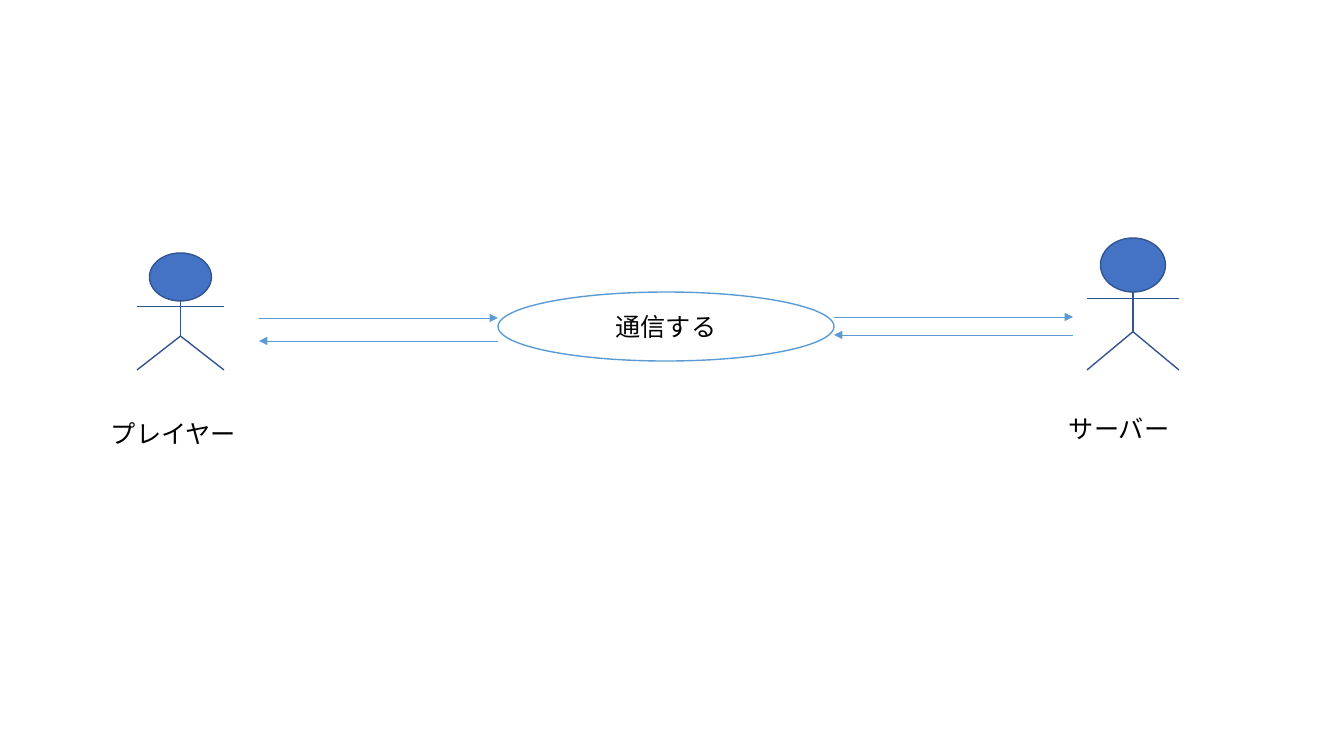
import pptx
import pptx.util
import pptx.dml.color
import pptx.enum.shapes
import pptx.enum.text
import pptx.oxml.ns
import lxml.etree

RGB = pptx.dml.color.RGBColor
BLUE = RGB(0x44, 0x72, 0xC4)
NAVY = RGB(0x32, 0x54, 0x91)
SKY = RGB(0x5B, 0x9B, 0xD5)
WHITE = RGB(255, 255, 255)
BLACK = RGB(0, 0, 0)
FACE = "Noto Sans CJK JP"
TYPE = {"name": FACE, "size": pptx.util.Pt(18)}
OVAL = pptx.enum.shapes.MSO_SHAPE.OVAL
ALIGN = pptx.enum.text.PP_ALIGN
MIDDLE = pptx.enum.text.MSO_ANCHOR.MIDDLE
SCALE = 914400 / 100.8


def emu(*sizes):
    return [round(size * SCALE) for size in sizes]


def child(parent, tag, **attrs):
    return lxml.etree.SubElement(parent, pptx.oxml.ns.qn(tag), attrs)


def write(shape, text, align):
    para = shape.text_frame.paragraphs[0]
    para.alignment = align
    run = para.add_run()
    run.text = text
    for key, value in TYPE.items():
        setattr(run.font, key, value)
    run.font.color.rgb = BLACK
    child(run.font._element, "a:ea", typeface=FACE)


def oval(shapes, box, fill, edge):
    shape = shapes.add_shape(OVAL, *emu(*box))
    shape.shadow.inherit = False
    shape.fill.solid()
    shape.fill.fore_color.rgb = fill
    shape.line.color.rgb = edge
    shape.line.width = pptx.util.Pt(1)
    return shape


def line(shapes, start, end, color, width, arrow=False):
    kind = pptx.enum.shapes.MSO_CONNECTOR.STRAIGHT
    link = shapes.add_connector(kind, *emu(*start, *end))
    link.line.color.rgb = color
    link.line.width = pptx.util.Pt(width)
    if arrow:
        child(link.line._get_or_add_ln(), "a:tailEnd", type="triangle")
    child(link._element.spPr, "a:effectLst")


def actor(slide, left, top, wide, high):
    shapes = slide.shapes.add_group_shape().shapes
    mid, right, foot = left + wide / 2, left + wide, top + high
    head, tall = round(wide * 0.71), round(high * 0.41)
    arm, hip = top + high * 0.46, top + high * 0.71
    oval(shapes, (mid - head / 2, top, head, tall), BLUE, NAVY)
    joint = (mid, hip)
    for start, end in (
        ((mid, top + tall), joint),
        ((left, foot), joint),
        ((right, foot), joint),
        ((right, arm), (mid, arm)),
        ((mid, arm), (left, arm)),
    ):
        line(shapes, start, end, NAVY, 1)


def label(slide, text, left, top, wide, high):
    box = slide.shapes.add_textbox(*emu(left, top, wide, high))
    box.text_frame.word_wrap = True
    write(box, text, ALIGN.LEFT)


def action(slide, text, *box):
    shape = oval(slide.shapes, box, WHITE, SKY)
    shape.text_frame.vertical_anchor = MIDDLE
    write(shape, text, ALIGN.CENTER)


def signals(slide, left, top, wide, high):
    right, foot = left + wide, top + high
    line(slide.shapes, (left, top), (right, top), SKY, 0.5, True)
    line(slide.shapes, (right, foot), (left, foot), SKY, 0.5, True)


deck = pptx.Presentation()
deck.slide_width, deck.slide_height = emu(1344, 756)
slide = deck.slides.add_slide(deck.slide_layouts[6])
actor(slide, 137, 253, 87, 117)
actor(slide, 1087, 238, 92, 132)
label(slide, "プレイヤー", 101, 413, 212, 40)
label(slide, "サーバー", 1059, 408, 212, 40)
action(slide, "通信する", 498, 292, 336, 69)
signals(slide, 259, 318, 239, 23)
signals(slide, 834, 317, 239, 18)
deck.save("out.pptx")
